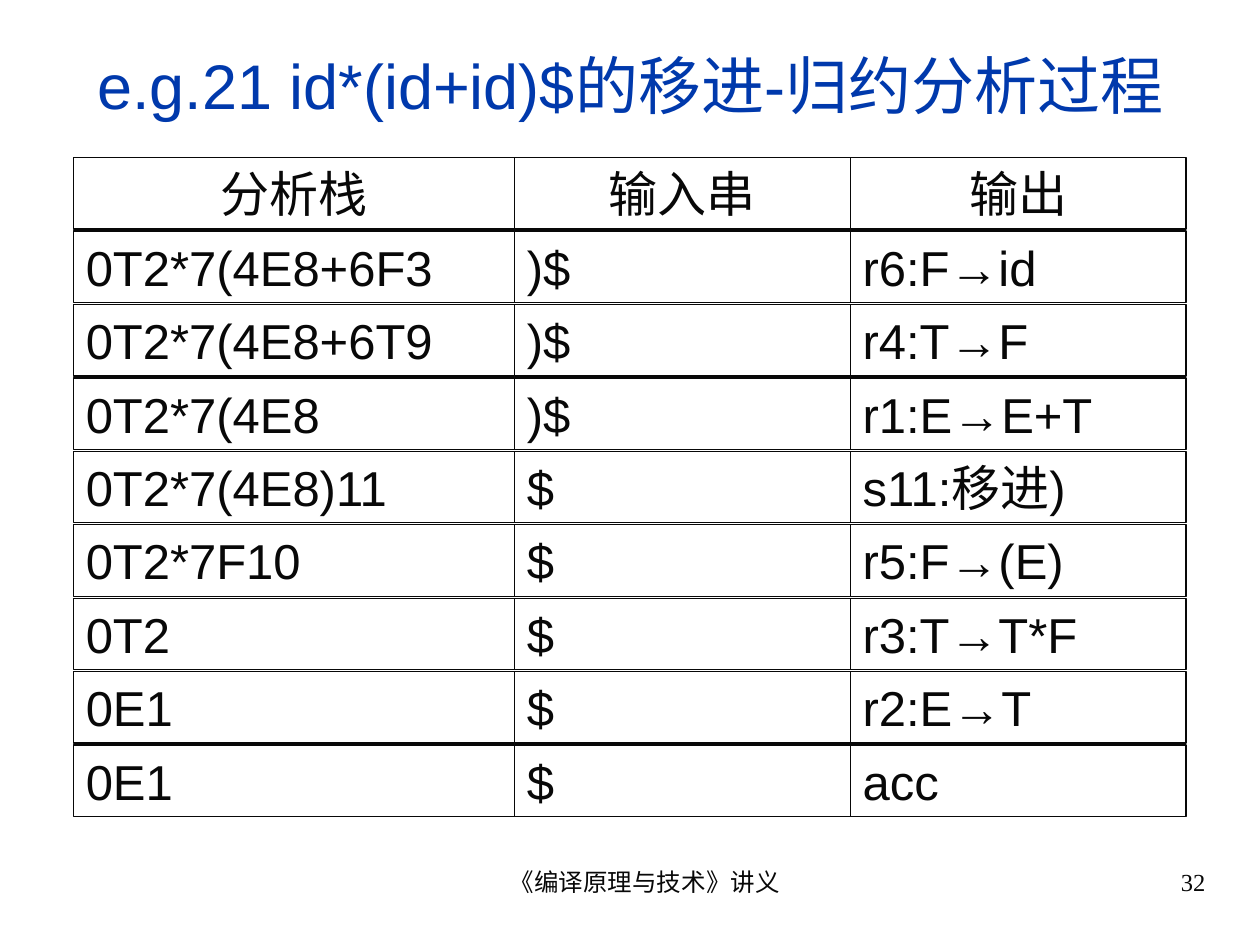
from itertools import accumulate

from pptx import Presentation
from pptx.dml.color import RGBColor
from pptx.enum import shapes, text
from pptx.util import Cm, Pt

BLUE = RGBColor(0x00, 0x39, 0xAC)
INK = RGBColor(0x08, 0x08, 0x08)
LEFT, CENTER, RIGHT = text.PP_ALIGN.LEFT, text.PP_ALIGN.CENTER, text.PP_ALIGN.RIGHT

GRID_LEFT, GRID_TOP = 1.48, 3.18
COLUMN_WIDTHS = [8.89, 6.77, 6.77]
ROW_PITCH, CELL_HEIGHT = 1.48, 1.44
PARSE_STEPS = [
    ("分析栈", "输入串", "输出"),
    ("0T2*7(4E8+6F3", ")$", "r6:F→id"),
    ("0T2*7(4E8+6T9", ")$", "r4:T→F"),
    ("0T2*7(4E8", ")$", "r1:E→E+T"),
    ("0T2*7(4E8)11", "$", "s11:移进)"),
    ("0T2*7F10", "$", "r5:F→(E)"),
    ("0T2", "$", "r3:T→T*F"),
    ("0E1", "$", "r2:E→T"),
    ("0E1", "$", "acc"),
]


def write(frame, words, size, font, color, align):
    frame.word_wrap = True
    frame.text = words
    para = frame.paragraphs[0]
    para.alignment = align
    for span in para.runs:
        span.font.size = Pt(size)
        span.font.name = font
        span.font.color.rgb = color


def add_label(page, place, words, size, font, color, align,
              anchor=text.MSO_ANCHOR.TOP, indent=0):
    box = page.shapes.add_textbox(*map(Cm, place))
    frame = box.text_frame
    frame.vertical_anchor = anchor
    frame.margin_left = Cm(0.25 + indent)
    write(frame, words, size, font, color, align)


def add_cell(page, place, words, align):
    box = page.shapes.add_shape(shapes.MSO_SHAPE.RECTANGLE, *map(Cm, place))
    box.shadow.inherit = False
    box.fill.background()
    box.line.color.rgb = INK
    box.line.width = Pt(0.75)
    frame = box.text_frame
    frame.vertical_anchor = text.MSO_ANCHOR.TOP
    write(frame, words, 28, "Arial", INK, align)
    # A fixed line height keeps Latin and Chinese text on one baseline.
    frame.paragraphs[0].line_spacing = Pt(33.6)


def add_parse_grid(page):
    lefts = list(accumulate(COLUMN_WIDTHS[:-1], initial=GRID_LEFT))
    for row, step in enumerate(PARSE_STEPS):
        top = GRID_TOP + row * ROW_PITCH
        align = LEFT if row else CENTER
        for left, width, words in zip(lefts, COLUMN_WIDTHS, step):
            add_cell(page, (left, top, width, CELL_HEIGHT), words, align)


def main():
    deck = Presentation()
    deck.slide_width, deck.slide_height = Cm(25.4), Cm(19.05)
    page = deck.slides.add_slide(deck.slide_layouts[6])
    add_label(page, (0.85, 0.64, 23.71, 2.12), "e.g.21 id*(id+id)$的移进-归约分析过程",
              36, "Arial", BLUE, CENTER, anchor=text.MSO_ANCHOR.MIDDLE)
    add_parse_grid(page)
    add_label(page, (8.68, 17.36, 8.04, 1.32), "《编译原理与技术》讲义",
              14, "Times New Roman", INK, CENTER, indent=0.6)
    add_label(page, (18.2, 17.36, 6.35, 1.32), "32",
              14, "Times New Roman", INK, RIGHT, indent=0.6)
    deck.save("out.pptx")


if __name__ == "__main__":
    main()
